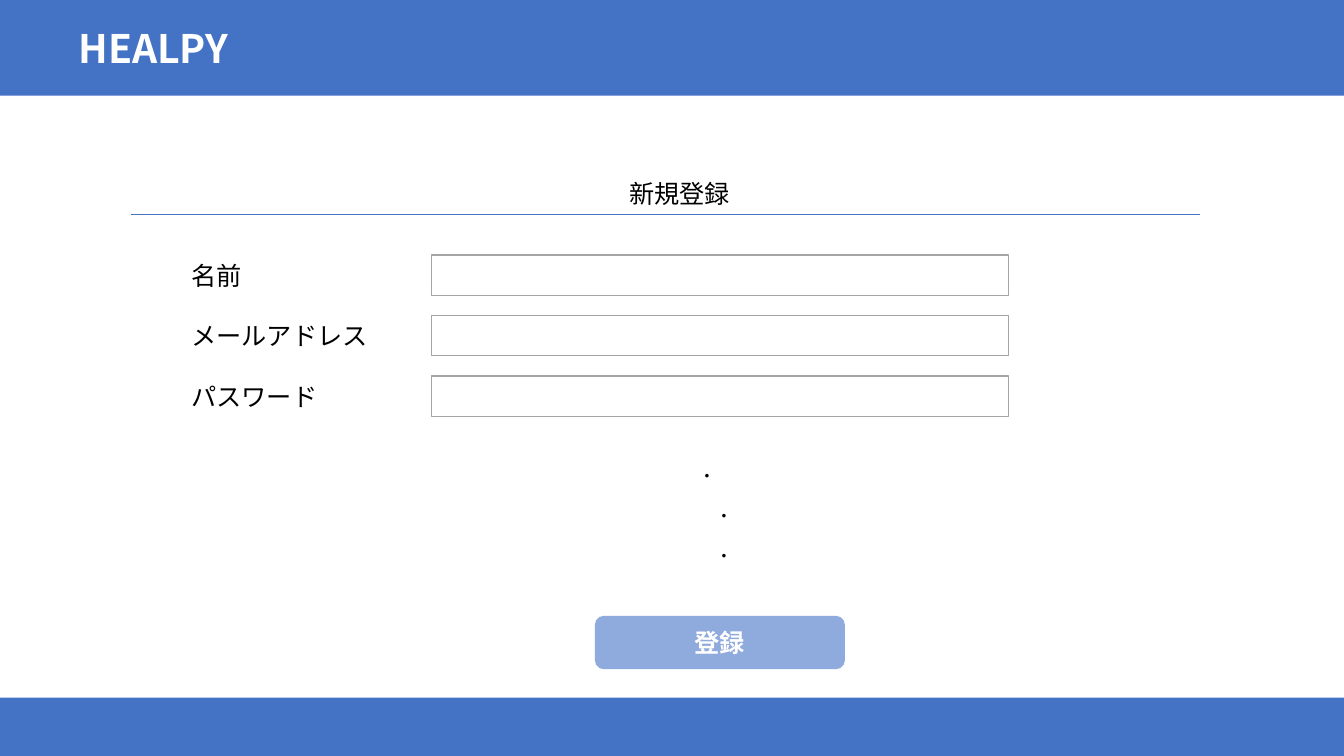
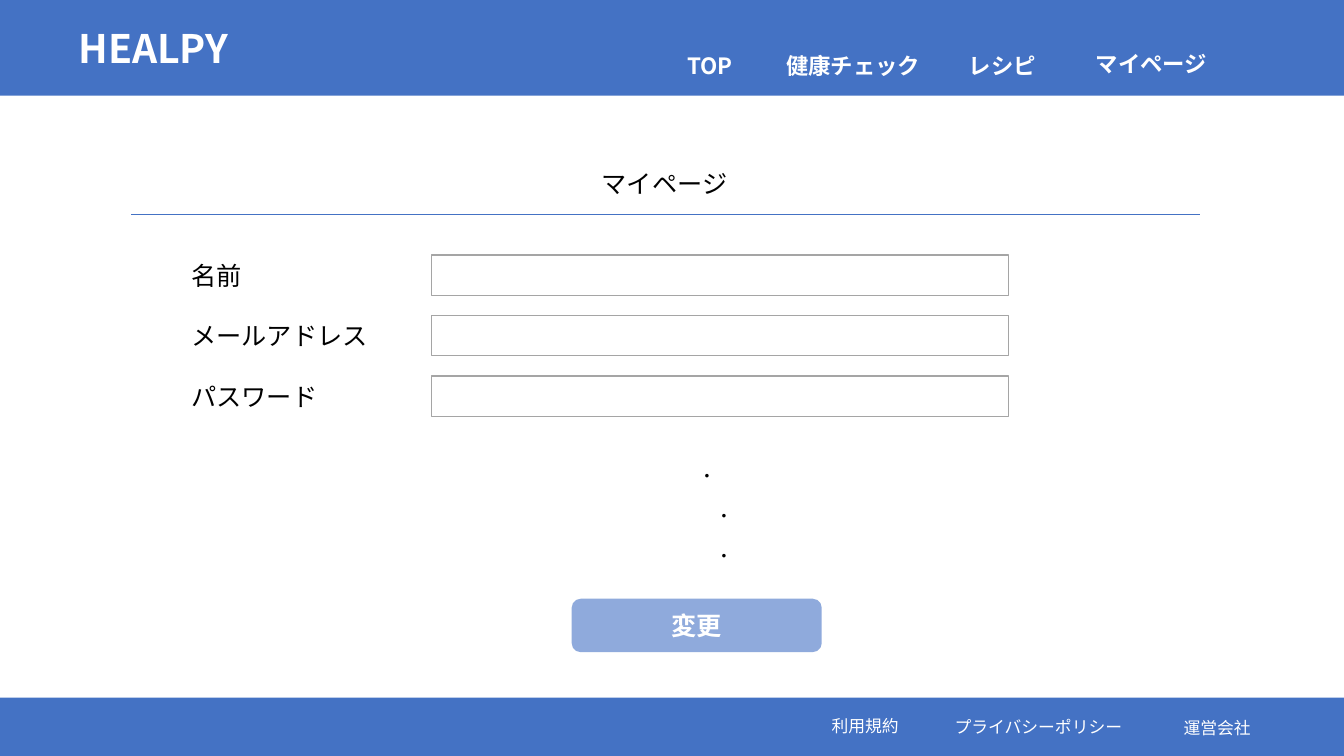
from dataclasses import dataclass

from lxml import etree
from pptx import Presentation
from pptx.dml.color import RGBColor
from pptx.enum.shapes import MSO_CONNECTOR, MSO_SHAPE
from pptx.enum.text import MSO_ANCHOR, MSO_AUTO_SIZE, PP_ALIGN
from pptx.oxml.ns import qn
from pptx.util import Inches, Pt

RECT = MSO_SHAPE.RECTANGLE
ROUND = MSO_SHAPE.ROUNDED_RECTANGLE
LINE = MSO_CONNECTOR.STRAIGHT
TOP = MSO_ANCHOR.TOP
MIDDLE = MSO_ANCHOR.MIDDLE
LEFT = PP_ALIGN.LEFT
CENTER = PP_ALIGN.CENTER
GROW = MSO_AUTO_SIZE.SHAPE_TO_FIT_TEXT
TITLE_ONLY = 5


@dataclass(frozen=True)
class Theme:
    font: str = "Noto Sans CJK JP"
    blue: str = "4472C4"
    pale: str = "8FAADC"
    gray: str = "A5A5A5"
    white: str = "FFFFFF"
    black: str = "000000"
    brand: int = 28
    body: int = 18
    menu: int = 16
    small: int = 12


class Deck:
    def __init__(self, theme):
        self.theme = theme
        self.prs = Presentation()
        self.prs.slide_width = Inches(13.33)
        self.prs.slide_height = Inches(7.5)
        self.slide = None

    def style(self, frame, size, color, bold=False, align=LEFT):
        for para in frame.paragraphs:
            para.alignment = align
            for run in para.runs:
                font = run.font
                font.name = self.theme.font
                font.size = Pt(size)
                font.bold = bold
                font.color.rgb = RGBColor.from_string(color)
                east = etree.SubElement(run._r.get_or_add_rPr(), qn("a:ea"))
                east.set("typeface", self.theme.font)

    def text(self, words, x, y, w, h, size, color, bold=False):
        box = self.slide.shapes.add_textbox(Inches(x), Inches(y), Inches(w), Inches(h))
        frame = box.text_frame
        frame.word_wrap = True
        frame.auto_size = GROW
        frame.text = words
        self.style(frame, size, color, bold)
        return frame

    def shape(self, kind, x, y, w, h, fill, edge=None):
        item = self.slide.shapes.add_shape(kind, Inches(x), Inches(y), Inches(w), Inches(h))
        item.shadow.inherit = False
        item.fill.solid()
        item.fill.fore_color.rgb = RGBColor.from_string(fill)
        if edge:
            item.line.color.rgb = RGBColor.from_string(edge)
            item.line.width = Pt(1)
        else:
            item.line.fill.background()
        return item

    def rule(self, x, y, end):
        line = self.slide.shapes.add_connector(LINE, Inches(x), Inches(y), Inches(end), Inches(y))
        line.line.color.rgb = RGBColor.from_string(self.theme.blue)
        line.line.width = Pt(0.5)
        etree.SubElement(line._element.spPr, qn("a:effectLst"))

    def title(self, words, x, y, w):
        box = self.slide.shapes.title
        box.left, box.top = Inches(x), Inches(y)
        box.width, box.height = Inches(w), Inches(0.4)
        frame = box.text_frame
        frame.word_wrap = True
        frame.auto_size = GROW
        frame.vertical_anchor = TOP
        frame.text = words
        self.style(frame, self.theme.body, self.theme.black, align=CENTER)

    def page(self, words, x, y, w):
        theme = self.theme
        layout = self.prs.slide_layouts[TITLE_ONLY]
        self.slide = self.prs.slides.add_slide(layout)
        self.shape(RECT, 0, 0, 13.33, 0.95, theme.blue)
        self.shape(RECT, 0, 6.92, 13.33, 0.58, theme.blue)
        self.text("HEALPY", 0.68, 0.19, 3.09, 0.57, theme.brand, theme.white, True)
        self.title(words, x, y, w)
        self.rule(1.3, 2.13, 11.9)

    def form(self, names):
        theme = self.theme
        for row, name in enumerate(names):
            y = 2.53 + 0.6 * row
            self.text(name, 1.8, y, 2.2, 0.4, theme.body, theme.black)
            self.shape(RECT, 4.28, y, 5.72, 0.4, theme.white, theme.gray)

    def dots(self):
        theme = self.theme
        frame = self.text("・\n・\n・", 6.83, 4.57, 0.63, 1.11, theme.small, theme.black)
        for para in frame.paragraphs[1:]:
            para.space_before = Pt(14.3)
            para._p.get_or_add_pPr().set("marL", str(Inches(0.17)))

    def button(self, words, x, y):
        theme = self.theme
        frame = self.shape(ROUND, x, y, 2.48, 0.53, theme.pale).text_frame
        frame.vertical_anchor = MIDDLE
        frame.text = words
        self.style(frame, theme.body, theme.white, True, CENTER)

    def menu(self, items):
        for words, x, y, w in items:
            self.text(words, x, y, w, 0.37, self.theme.menu, self.theme.white, True)

    def footer(self, items):
        for words, x, y, w in items:
            self.text(words, x, y, w, 0.3, self.theme.small, self.theme.white)


def main():
    deck = Deck(Theme())
    names = ["名前", "メールアドレス", "パスワード"]

    deck.page("新規登録", 1.39, 1.72, 10.7)
    deck.form(names)
    deck.dots()
    deck.button("登録", 5.9, 6.11)

    deck.page("マイページ", 5.79, 1.62, 1.6)
    deck.menu([
        ("TOP", 6.72, 0.47, 0.97),
        ("健康チェック", 7.7, 0.47, 2.01),
        ("レシピ", 9.51, 0.47, 0.97),
        ("マイページ", 10.77, 0.45, 1.74),
    ])
    deck.form(names)
    deck.dots()
    deck.button("変更", 5.67, 5.94)
    deck.footer([
        ("利用規約", 8.15, 7.05, 1.2),
        ("プライバシーポリシー", 9.37, 7.06, 2.2),
        ("運営会社", 11.64, 7.07, 1.2),
    ])
    deck.prs.save("out.pptx")


if __name__ == "__main__":
    main()
